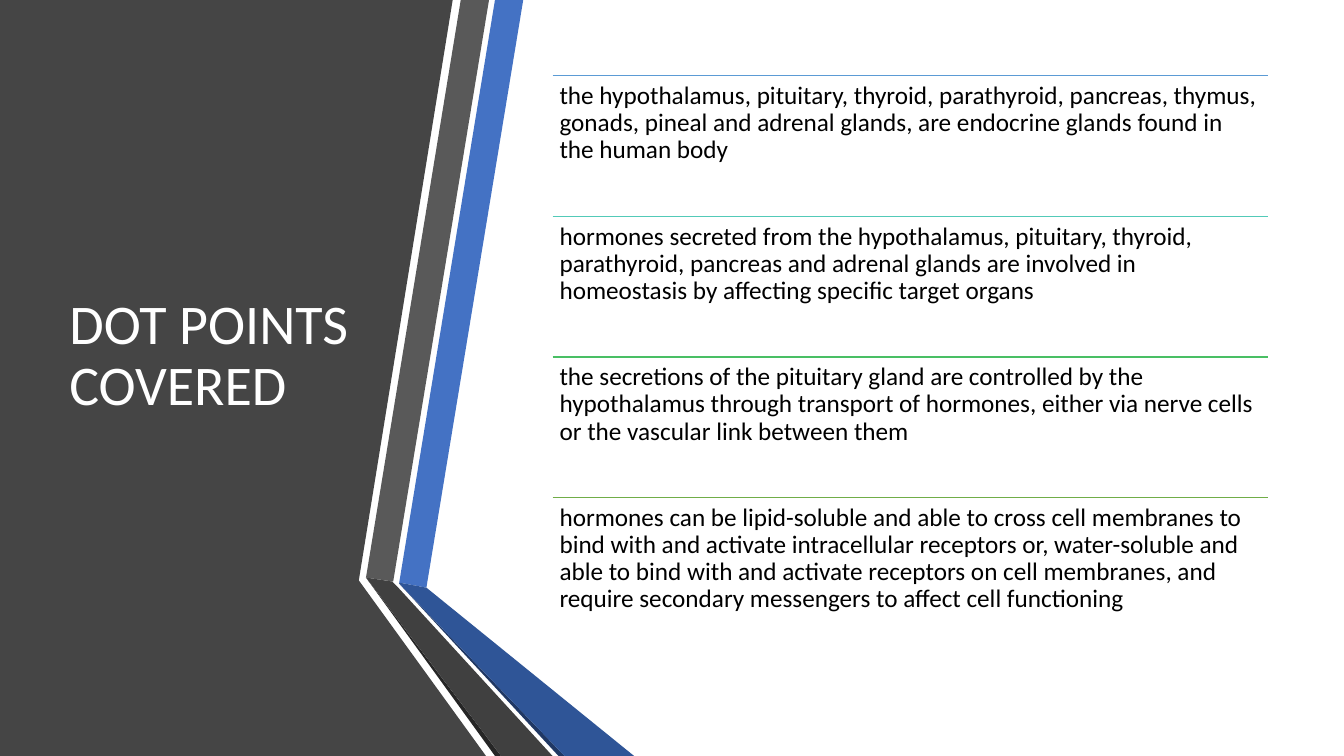
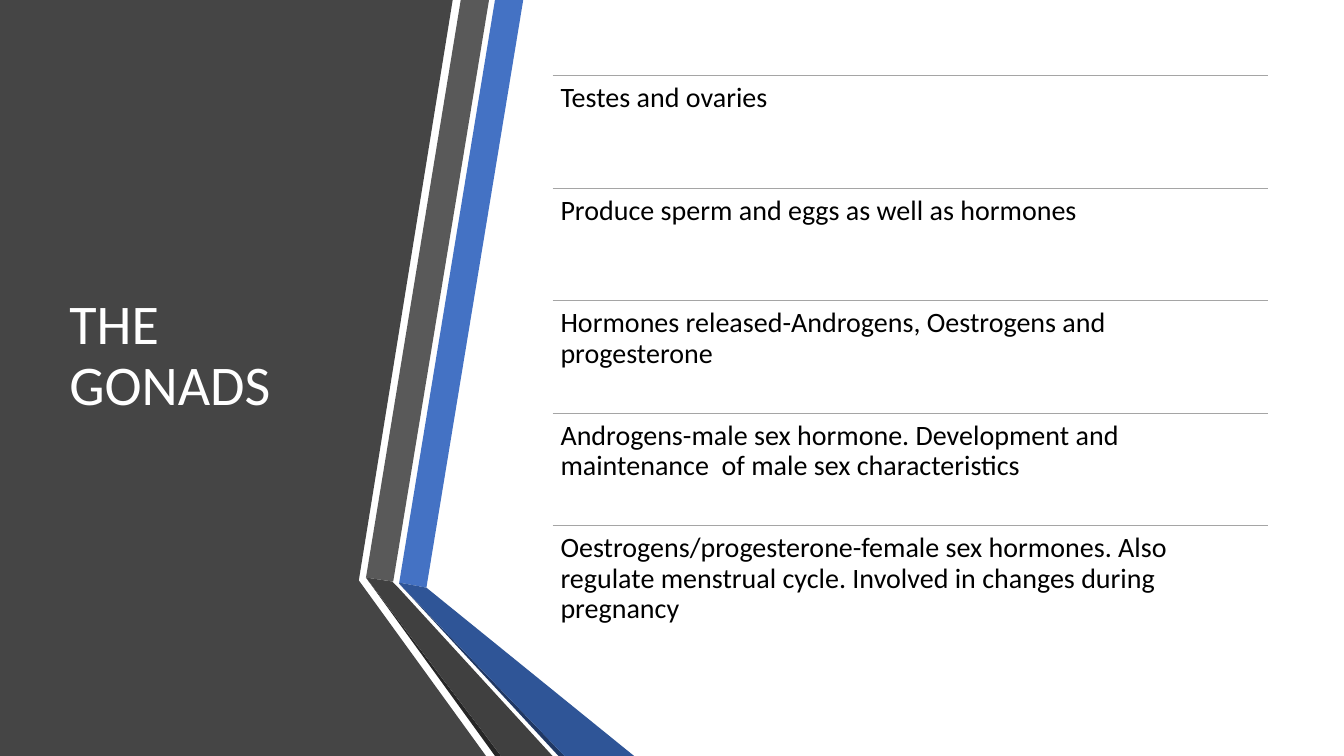
from lxml import etree
from pptx import Presentation
from pptx import util as u
from pptx.dml.color import RGBColor
from pptx.enum import shapes, text
from pptx.oxml.ns import qn

PX = 9144  # EMU per px, 100 px to the inch
SLIDE_WIDTH, SLIDE_HEIGHT = 1333, 750
FONT = "Calibri"

WHITE = RGBColor(0xFF, 0xFF, 0xFF)
BLACK = RGBColor(0x00, 0x00, 0x00)
PANEL = RGBColor(0x45, 0x45, 0x45)
BLUE = RGBColor(0x44, 0x72, 0xC4)
BLUE_FOLD = RGBColor(0x2F, 0x55, 0x97)
BLUE_SHADE = RGBColor(0x20, 0x38, 0x64)
GREY = RGBColor(0x59, 0x59, 0x59)
GREY_FOLD = RGBColor(0x40, 0x40, 0x40)
GREY_SHADE = RGBColor(0x26, 0x26, 0x26)
RULE_GREY = RGBColor(0xA5, 0xA5, 0xA5)
RULE_BLUE = RGBColor(0x5B, 0x9B, 0xD5)
RULE_TEAL = RGBColor(0x52, 0xCA, 0xB8)
RULE_MINT = RGBColor(0x49, 0xBF, 0x64)
RULE_GREEN = RGBColor(0x70, 0xAD, 0x47)

# Left panel and the two folded ribbons, from back to front
BACKDROP = [
    (PANEL, [(0, 0), (449, 0), (356, 575), (356, 576), (482, 750), (0, 750)]),
    (BLUE, [(396, 578), (423, 583), (519, 0), (491, 0)]),
    (GREY, [(485, 0), (457, 0), (363, 573), (390, 577)]),
    (GREY_SHADE, [(363, 573), (491, 750), (497, 750)]),
    (BLUE_SHADE, [(396, 579), (554, 750), (560, 750)]),
    (BLUE_FOLD, [(396, 579), (560, 750), (629, 750), (423, 583), (396, 578)]),
    (GREY_FOLD, [(548, 750), (395, 583), (389, 577), (363, 573), (497, 750)]),
]

TITLE_BOX = (59, 75, 304, 558)
LIST_BOX = (548, 75, 710, 558)

SLIDES = [
    {
        "title": "DOT POINTS COVERED",
        "size": 18,
        "inset": 7,
        "rule_width": 1,
        "rules": [RULE_BLUE, RULE_TEAL, RULE_MINT, RULE_GREEN],
        "points": [
            "the hypothalamus, pituitary, thyroid, parathyroid, pancreas, thymus, gonads, "
            "pineal and adrenal glands, are endocrine glands found in the human body",
            "hormones secreted from the hypothalamus, pituitary, thyroid, parathyroid, pancreas "
            "and adrenal glands are involved in homeostasis by affecting specific target organs",
            "the secretions of the pituitary gland are controlled by the hypothalamus through "
            "transport of hormones, either via nerve cells or the vascular link between them",
            "hormones can be lipid-soluble and able to cross cell membranes to bind with and "
            "activate intracellular receptors or, water-soluble and able to bind with and "
            "activate receptors on cell membranes, and require secondary messengers to affect "
            "cell functioning",
        ],
    },
    {
        "title": "THE GONADS",
        "size": 20,
        "inset": 8,
        "rule_width": 0.5,
        "rules": [RULE_GREY] * 5,
        "points": [
            "Testes and ovaries",
            "Produce sperm and eggs as well as hormones",
            "Hormones released-Androgens, Oestrogens and progesterone",
            "Androgens-male sex hormone. Development and maintenance  of male sex characteristics",
            "Oestrogens/progesterone-female sex hormones. Also regulate menstrual cycle. "
            "Involved in changes during pregnancy",
        ],
    },
]


def emu(*lengths):
    return [round(length * PX) for length in lengths]


def add_backdrop(slide):
    for color, (start, *rest) in BACKDROP:
        builder = slide.shapes.build_freeform(*start, scale=PX)
        builder.add_line_segments(rest, close=True)
        band = builder.convert_to_shape()
        band.shadow.inherit = False
        band.fill.solid()
        band.fill.fore_color.rgb = color
        band.line.fill.background()


def add_text(slide, box, words, size, color, insets, anchor=text.MSO_ANCHOR.TOP):
    frame = slide.shapes.add_textbox(*emu(*box)).text_frame
    frame.word_wrap = True
    frame.vertical_anchor = anchor
    frame.margin_left, frame.margin_top, frame.margin_right, frame.margin_bottom = emu(*insets)
    paragraph = frame.paragraphs[0]
    paragraph.line_spacing = 0.9
    run = paragraph.add_run()
    run.text = words
    run.font.name = FONT
    run.font.size = u.Pt(size)
    run.font.color.rgb = color


def add_rule(slide, left, top, width, color, weight):
    rule = slide.shapes.add_connector(
        shapes.MSO_CONNECTOR.STRAIGHT, *emu(left, top, left + width, top))
    rule.line.color.rgb = color
    rule.line.width = u.Pt(weight)
    etree.SubElement(rule.line._get_or_add_ln().getparent(), qn("a:effectLst"))


def add_points(slide, content):
    """Share the list height equally, with a rule above each point."""
    left, top, width, height = LIST_BOX
    row_height = height / len(content["points"])
    for row, (point, color) in enumerate(zip(content["points"], content["rules"])):
        row_top = top + row * row_height
        add_rule(slide, left, row_top, width, color, content["rule_width"])
        add_text(slide, (left, row_top, width, row_height), point,
                 content["size"], BLACK, [content["inset"]] * 4)


def main():
    deck = Presentation()
    deck.slide_width, deck.slide_height = emu(SLIDE_WIDTH, SLIDE_HEIGHT)
    for content in SLIDES:
        slide = deck.slides.add_slide(deck.slide_layouts[6])
        add_backdrop(slide)
        add_text(slide, TITLE_BOX, content["title"], 40, WHITE,
                 (10, 5, 10, 5), text.MSO_ANCHOR.MIDDLE)
        add_points(slide, content)
    deck.save("out.pptx")


if __name__ == "__main__":
    main()
